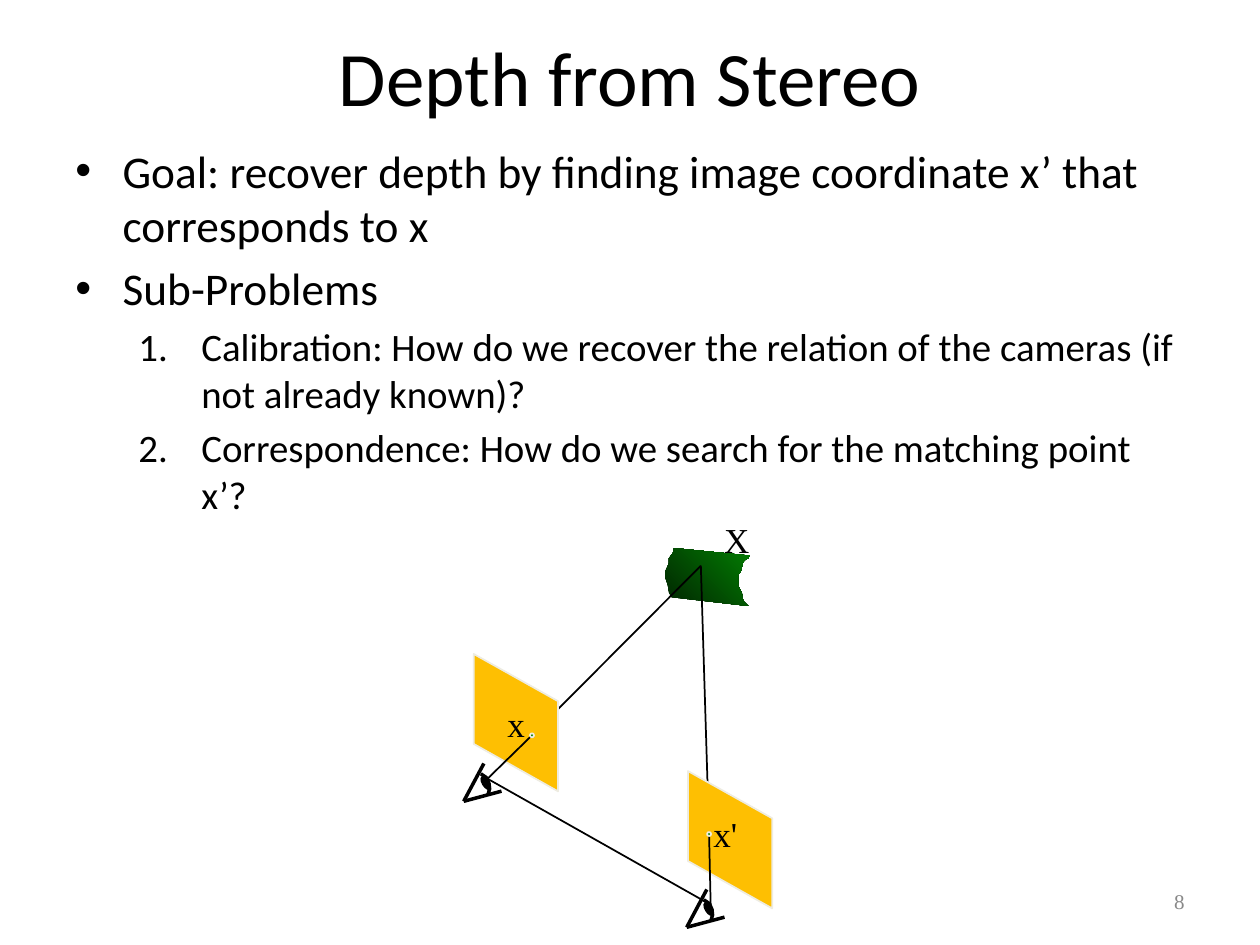
from lxml import etree
from pptx import Presentation
from pptx.dml.color import RGBColor
from pptx.enum.shapes import MSO_CONNECTOR, MSO_SHAPE
from pptx.enum.text import MSO_ANCHOR, PP_ALIGN
from pptx.oxml.ns import qn
from pptx.util import Pt

STRAIGHT = MSO_CONNECTOR.STRAIGHT
OVAL = MSO_SHAPE.OVAL
TOP, MIDDLE = MSO_ANCHOR.TOP, MSO_ANCHOR.MIDDLE
LEFT, CENTER, RIGHT = PP_ALIGN.LEFT, PP_ALIGN.CENTER, PP_ALIGN.RIGHT

BLACK = RGBColor(0x00, 0x00, 0x00)
GRAY = RGBColor(0x89, 0x89, 0x89)
CREAM = RGBColor(0xEE, 0xEC, 0xE1)
AMBER = RGBColor(0xFE, 0xBF, 0x02)
GREEN = RGBColor(0x03, 0x7C, 0x03)
DARK_GREEN = RGBColor(0x01, 0x25, 0x01)
SANS, SERIF = "Calibri", "Times New Roman"

GOALS = [
    "Goal: recover depth by finding image coordinate x’ that corresponds to x",
    "Sub-Problems",
]
SUB_PROBLEMS = [
    "Calibration: How do we recover the relation of the cameras (if not already known)?",
    "Correspondence: How do we search for the matching point x’?",
]

# Diagram parts, relative to the diagram's top left corner
SURFACE = [
    (121.2, 17.2), (120.5, 20.1), (118.3, 23), (118.3, 25.8), (116.1, 30.9),
    (116.1, 33.8), (117.6, 38.1), (118.3, 42.4), (119.7, 45.3), (163.7, 50.3),
    (160.8, 47.4), (160, 43.1), (157.9, 38.8), (157.9, 32.3), (159.3, 30.9),
    (160, 28), (160.8, 25.1), (162.2, 23.7), (163.7, 23), (164.4, 21.5),
]
SCENE_POINT = (136.5, 27.3)
# Each view: image plane corner, eye corner, optical centre, image point
VIEWS = [
    ((6.7, 77.7), (1, 140.3), (14.6, 149), (40, 124.2)),
    ((129.1, 144.6), (128.4, 212.3), (142.1, 221), (141.2, 180.6)),
]
LABELS = [("X", 138.6, 0), ("x", 12.6, 105.1), ("x'", 132.1, 167.8)]
PLANE = [(0, 0), (48.2, 27), (48.2, 78.5), (0, 51.4)]
EYE_ARC = [(9.8, 5.9), (13, 8.1), (14.5, 11.5), (14.8, 14.6), (13.9, 17.8)]


def shift(point, origin):
    return point[0] + origin[0], point[1] + origin[1]


def add_text_frame(slide, box, anchor, inset=(7.2, 3.6)):
    text_frame = slide.shapes.add_textbox(*map(Pt, box)).text_frame
    text_frame.word_wrap = True
    text_frame.vertical_anchor = anchor
    text_frame.margin_left = text_frame.margin_right = Pt(inset[0])
    text_frame.margin_top = text_frame.margin_bottom = Pt(inset[1])
    return text_frame


def write(paragraph, text, size, font_name, color, alignment):
    paragraph.alignment = alignment
    run = paragraph.add_run()
    run.text = text
    run.font.size = Pt(size)
    run.font.name = font_name
    run.font.color.rgb = color


def add_label(slide, box, text, size, font_name, color=BLACK, alignment=CENTER,
              inset=(7.2, 3.6)):
    text_frame = add_text_frame(slide, box, MIDDLE, inset)
    write(text_frame.paragraphs[0], text, size, font_name, color, alignment)


def set_list_marker(paragraph, margin, hanging, tag, **attributes):
    properties = paragraph._p.get_or_add_pPr()
    properties.set("marL", str(Pt(margin)))
    properties.set("indent", str(-Pt(hanging)))
    if tag == "a:buChar":
        etree.SubElement(properties, qn("a:buFont"), typeface="Arial")
    etree.SubElement(properties, qn(tag), **attributes)


def add_body(slide, box):
    text_frame = add_text_frame(slide, box, TOP)
    paragraph = text_frame.paragraphs[0]
    for index, text in enumerate(GOALS):
        if index:
            paragraph = text_frame.add_paragraph()
            paragraph.space_before = Pt(5.2)
        set_list_marker(paragraph, 27, 27, "a:buChar", char="•")
        write(paragraph, text, 25.9, SANS, BLACK, LEFT)
    for text in SUB_PROBLEMS:
        paragraph = text_frame.add_paragraph()
        paragraph.level = 1
        paragraph.space_before = Pt(4.4)
        set_list_marker(paragraph, 72, 36, "a:buAutoNum", type="arabicPeriod")
        write(paragraph, text, 22.2, SANS, BLACK, LEFT)


def add_line(slide, start, end, width=1):
    line = slide.shapes.add_connector(STRAIGHT, *map(Pt, (*start, *end)))
    line.line.color.rgb = BLACK
    line.line.width = Pt(width)
    etree.SubElement(line._element.spPr, qn("a:effectLst"))


def add_outline(slide, points, origin, close=True):
    corners = [tuple(map(Pt, shift(point, origin))) for point in points]
    builder = slide.shapes.build_freeform(*corners[0])
    builder.add_line_segments(corners[1:], close=close)
    shape = builder.convert_to_shape()
    shape.shadow.inherit = False
    return shape


def add_oval(slide, center, width, height, fill, line):
    oval = slide.shapes.add_shape(
        OVAL, Pt(center[0] - width / 2), Pt(center[1] - height / 2),
        Pt(width), Pt(height))
    oval.shadow.inherit = False
    oval.fill.solid()
    oval.fill.fore_color.rgb = fill
    oval.line.color.rgb = line
    oval.line.width = Pt(1)
    return oval


def add_surface(slide, origin):
    surface = add_outline(slide, SURFACE, origin)
    surface.fill.gradient()
    surface.fill.gradient_angle = 45
    for stop, color, position in zip(
            surface.fill.gradient_stops, (DARK_GREEN, GREEN), (0, 1)):
        stop.color.rgb = color
        stop.position = position
    surface.line.fill.background()


def add_image_plane(slide, origin):
    plane = add_outline(slide, PLANE, origin)
    plane.fill.solid()
    plane.fill.fore_color.rgb = AMBER
    plane.line.color.rgb = CREAM
    plane.line.width = Pt(1)


def add_eye(slide, origin):
    arc = add_outline(slide, EYE_ARC, origin, close=False)
    arc.fill.background()
    arc.line.color.rgb = BLACK
    arc.line.width = Pt(2)
    corner = shift((0, 21.6), origin)
    add_line(slide, shift((11.5, 0), origin), corner, 2)
    pupil = add_oval(slide, shift((12.6, 11.1), origin), 3.6, 7.9, BLACK, BLACK)
    pupil.rotation = 329
    add_line(slide, corner, shift((21.6, 15.8), origin), 2)


def add_stereo_diagram(slide, origin):
    add_surface(slide, origin)
    add_line(slide, *(shift(view[2], origin) for view in VIEWS))
    for plane, _, _, image_point in VIEWS:
        add_line(slide, shift(image_point, origin), shift(SCENE_POINT, origin))
        add_image_plane(slide, shift(plane, origin))
    for _, eye, optical_center, image_point in VIEWS:
        target = shift(image_point, origin)
        add_line(slide, shift(optical_center, origin), target)
        add_eye(slide, shift(eye, origin))
        add_oval(slide, target, 2.2, 2.2, GREEN, CREAM)
    for text, left, top in LABELS:
        box = (*shift((left, top), origin), 36.7, 24.5)
        add_label(slide, box, text, 20, SERIF, inset=(0, 0))


def main():
    presentation = Presentation()
    presentation.slide_width, presentation.slide_height = Pt(720), Pt(540)
    slide = presentation.slides.add_slide(presentation.slide_layouts[6])
    add_label(slide, (36, -1.5, 648, 90), "Depth from Stereo", 44, SANS)
    add_body(slide, (36, 78, 648, 210))
    add_stereo_diagram(slide, (264, 296))
    add_label(slide, (516, 500.5, 168, 28.8), "8", 12, SERIF, GRAY, RIGHT)
    presentation.save("out.pptx")


if __name__ == "__main__":
    main()
